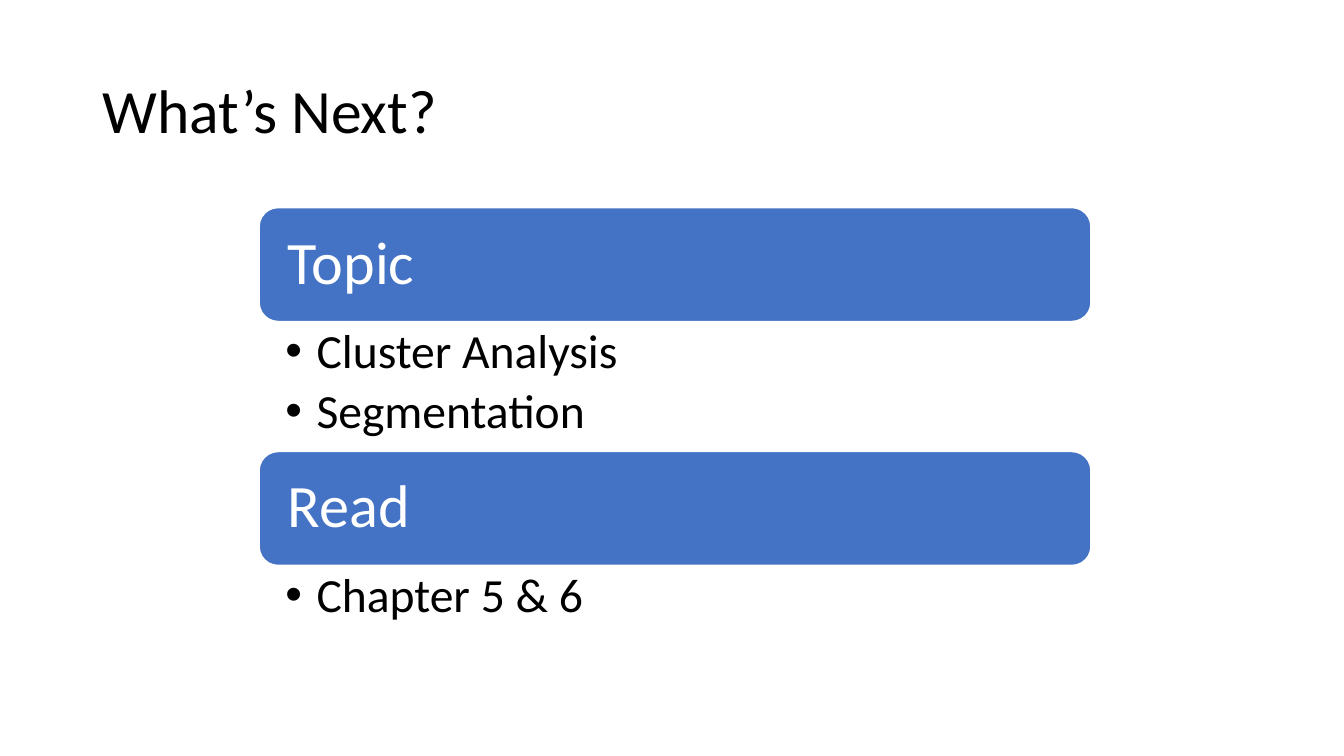
from dataclasses import dataclass

from lxml.etree import SubElement
from pptx import Presentation
from pptx.dml.color import RGBColor
from pptx.enum.shapes import MSO_SHAPE
from pptx.enum.text import MSO_ANCHOR as ANCHOR, MSO_AUTO_SIZE as AUTO, PP_ALIGN as ALIGN
from pptx.oxml.ns import qn
from pptx.util import Pt

PX = 9144  # 100 px to the inch


@dataclass(frozen=True)
class Theme:
    font: str = "Calibri"
    text: RGBColor = RGBColor(0x00, 0x00, 0x00)
    accent: RGBColor = RGBColor(0x44, 0x72, 0xC4)
    light: RGBColor = RGBColor(0xFF, 0xFF, 0xFF)
    title_size: int = 44
    heading_size: int = 43
    item_size: int = 34
    item_gap: int = 6
    line_spacing: float = 0.9


THEME = Theme()
BAR_HEIGHT = 113
SECTIONS = [
    ("Topic", ["Cluster Analysis", "Segmentation"], 129),
    ("Read", ["Chapter 5 & 6"], 78),
]


def place(sp, x, y, w, h):
    sp.left, sp.top, sp.width, sp.height = (v * PX for v in (x, y, w, h))


def setup_frame(sp, anchor, margins):
    """Margins are left, top, right, bottom in px."""
    tf = sp.text_frame
    tf.word_wrap = True
    tf.auto_size = AUTO.NONE
    tf.vertical_anchor = anchor
    tf.margin_left, tf.margin_top, tf.margin_right, tf.margin_bottom = (
        m * PX for m in margins)
    return tf


def write(p, text, size, color, after=0):
    p.alignment = ALIGN.LEFT
    p.line_spacing = THEME.line_spacing
    p.space_before, p.space_after = Pt(0), Pt(after)
    r = p.add_run()
    r.text = text
    r.font.name, r.font.size = THEME.font, Pt(size)
    r.font.color.rgb = color


def add_bullet(p, indent):
    pPr = p._p.get_or_add_pPr()
    pPr.set("marL", str(indent * PX))
    pPr.set("indent", str(-indent * PX))
    SubElement(pPr, qn("a:buFont"), typeface="Arial")
    SubElement(pPr, qn("a:buChar"), char="•")


def fill_title(sp, text, x, y, w, h):
    place(sp, x, y, w, h)
    tf = setup_frame(sp, ANCHOR.MIDDLE, (10, 5, 10, 5))
    write(tf.paragraphs[0], text, THEME.title_size, THEME.text)


def add_heading_bar(s, text, x, y, w, h):
    sp = s.shapes.add_shape(MSO_SHAPE.ROUNDED_RECTANGLE, x * PX, y * PX, w * PX, h * PX)
    sp.shadow.inherit = False
    sp.fill.solid()
    sp.fill.fore_color.rgb = THEME.accent
    sp.line.color.rgb = THEME.light
    sp.line.width = Pt(1)
    tf = setup_frame(sp, ANCHOR.MIDDLE, (23, 18, 23, 18))
    write(tf.paragraphs[0], text, THEME.heading_size, THEME.light)


def fill_list(sp, items, x, y, w, h):
    place(sp, x, y, w, h)
    tf = setup_frame(sp, ANCHOR.TOP, (26, 6, 33, 6))
    for i, item in enumerate(items):
        p = tf.add_paragraph() if i else tf.paragraphs[0]
        write(p, item, THEME.item_size, THEME.text, THEME.item_gap)
        add_bullet(p, 31)


def add_sections(s, bodies, x, y, w):
    for body, (heading, items, list_height) in zip(bodies, SECTIONS):
        add_heading_bar(s, heading, x, y, w, BAR_HEIGHT)
        fill_list(body, items, x, y + BAR_HEIGHT, w, list_height)
        y += BAR_HEIGHT + list_height


def main():
    prs = Presentation()
    prs.slide_width, prs.slide_height = 1333 * PX, 750 * PX
    s = prs.slides.add_slide(prs.slide_layouts.get_by_name("Two Content"))
    fill_title(s.shapes.title, "What’s Next?", 92, 40, 1150, 145)
    add_sections(s, [s.placeholders[1], s.placeholders[2]], 257, 206, 825)
    prs.save("out.pptx")


if __name__ == "__main__":
    main()
